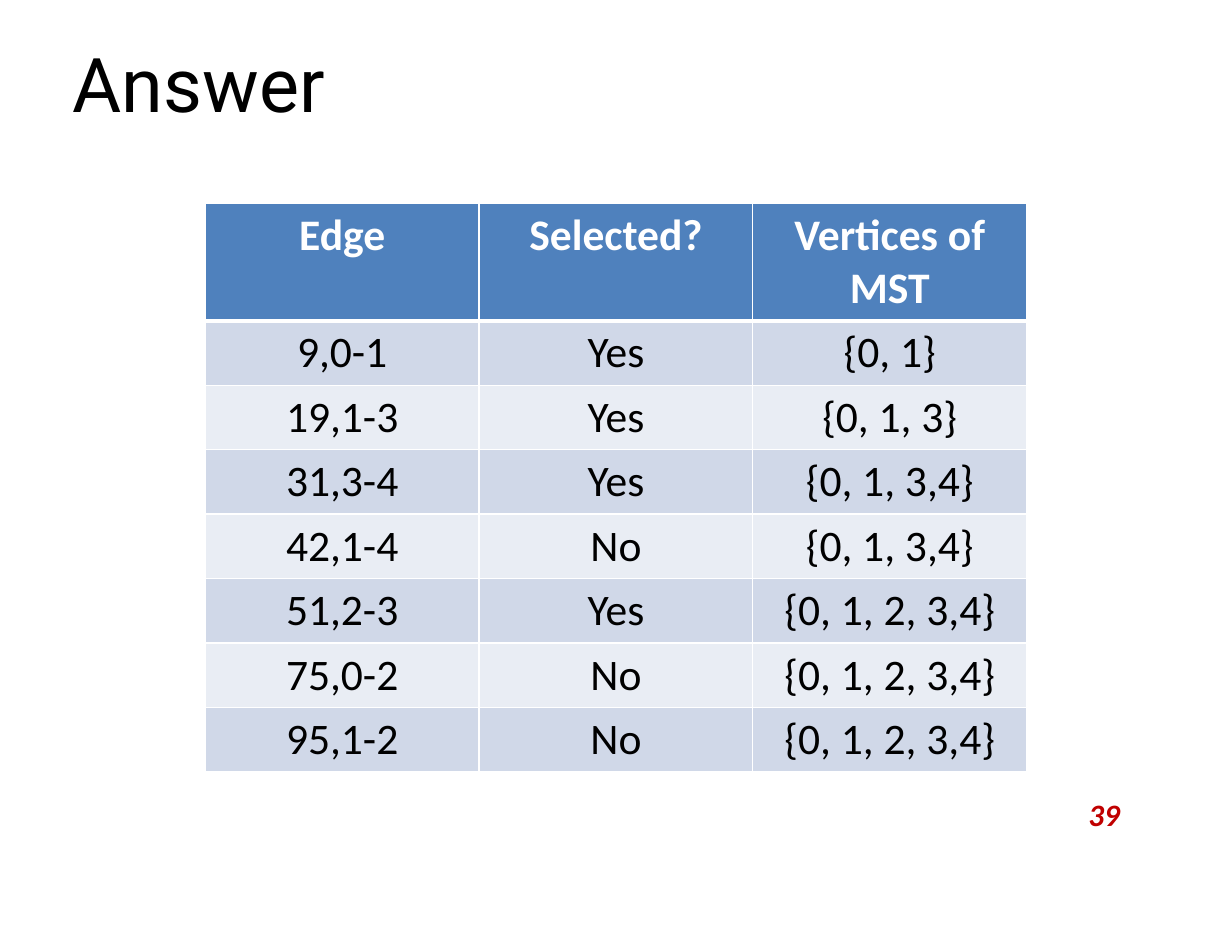
from lxml.etree import SubElement
from pptx import Presentation
from pptx.dml.color import RGBColor
from pptx.enum.text import MSO_ANCHOR, MSO_AUTO_SIZE, PP_ALIGN
from pptx.oxml.ns import qn
from pptx.util import Pt

TITLE = "Answer"
PAGE_NUMBER = "39"
ROWS = [
    ("Edge", "Selected?", "Vertices of MST"),
    ("9,0-1", "Yes", "{0, 1}"),
    ("19,1-3", "Yes", "{0, 1, 3}"),
    ("31,3-4", "Yes", "{0, 1, 3,4}"),
    ("42,1-4", "No", "{0, 1, 3,4}"),
    ("51,2-3", "Yes", "{0, 1, 2, 3,4}"),
    ("75,0-2", "No", "{0, 1, 2, 3,4}"),
    ("95,1-2", "No", "{0, 1, 2, 3,4}"),
]
WHITE, BLACK, RED = "FFFFFF", "000000", "C00000"
HEADER_FILL = "4F81BD"
BAND_FILLS = ("E9EDF4", "D0D8E8")
TABLE_LEFT, TABLE_TOP = 132, 130.5
COLUMN_WIDTH = 176
HEADER_HEIGHT, ROW_HEIGHT = 75.6, 41.4


def color(hex_string):
    return RGBColor.from_string(hex_string)


def write(frame, text, size, font, hex_color, align, bold=False, italic=False):
    para = frame.paragraphs[0]
    para.alignment = align
    span = para.add_run()
    span.text = text
    span.font.size = Pt(size)
    span.font.name = font
    span.font.color.rgb = color(hex_color)
    span.font.bold = bold
    span.font.italic = italic


def place(box, left, top, width, height):
    """Position a text shape and remove its inner margins."""
    box.left, box.top, box.width, box.height = map(Pt, (left, top, width, height))
    frame = box.text_frame
    frame.margin_left = frame.margin_top = frame.margin_right = frame.margin_bottom = 0
    frame.vertical_anchor = MSO_ANCHOR.TOP
    frame.auto_size = MSO_AUTO_SIZE.NONE
    frame.word_wrap = True
    return frame


def set_borders(cell, widths):
    properties = cell._tc.get_or_add_tcPr()
    for side, width in widths.items():
        line = SubElement(properties, qn(f"a:ln{side}"), w=str(Pt(width)))
        fill = SubElement(line, qn("a:solidFill"))
        SubElement(fill, qn("a:srgbClr"), val=WHITE)


deck = Presentation()
deck.slide_width, deck.slide_height = Pt(792), Pt(612)
page = deck.slides.add_slide(deck.slide_layouts[5])

title = place(page.shapes.title, 46.8, 23.8, 699, 59)
write(title, TITLE, 48.5, "Roboto", BLACK, PP_ALIGN.LEFT)

number = place(page.shapes.add_textbox(0, 0, 0, 0), 672, 511, 48, 29)
write(number, PAGE_NUMBER, 20, "Calibri", RED, PP_ALIGN.RIGHT, bold=True, italic=True)

column_count = len(ROWS[0])
table_height = HEADER_HEIGHT + ROW_HEIGHT * (len(ROWS) - 1)
table = page.shapes.add_table(
    len(ROWS), column_count, Pt(TABLE_LEFT), Pt(TABLE_TOP),
    Pt(COLUMN_WIDTH * column_count), Pt(table_height),
).table
for column in table.columns:
    column.width = Pt(COLUMN_WIDTH)

for row_index, texts in enumerate(ROWS):
    header = row_index == 0
    table.rows[row_index].height = Pt(HEADER_HEIGHT if header else ROW_HEIGHT)
    borders = {"L": 1, "R": 1, "T": 3 if row_index == 1 else 1, "B": 3 if header else 1}
    for column_index, text in enumerate(texts):
        cell = table.cell(row_index, column_index)
        set_borders(cell, borders)
        cell.fill.solid()
        cell.fill.fore_color.rgb = color(HEADER_FILL if header else BAND_FILLS[row_index % 2])
        write(cell.text_frame, text, 28, "Calibri", WHITE if header else BLACK,
              PP_ALIGN.CENTER, bold=header)

deck.save("out.pptx")
